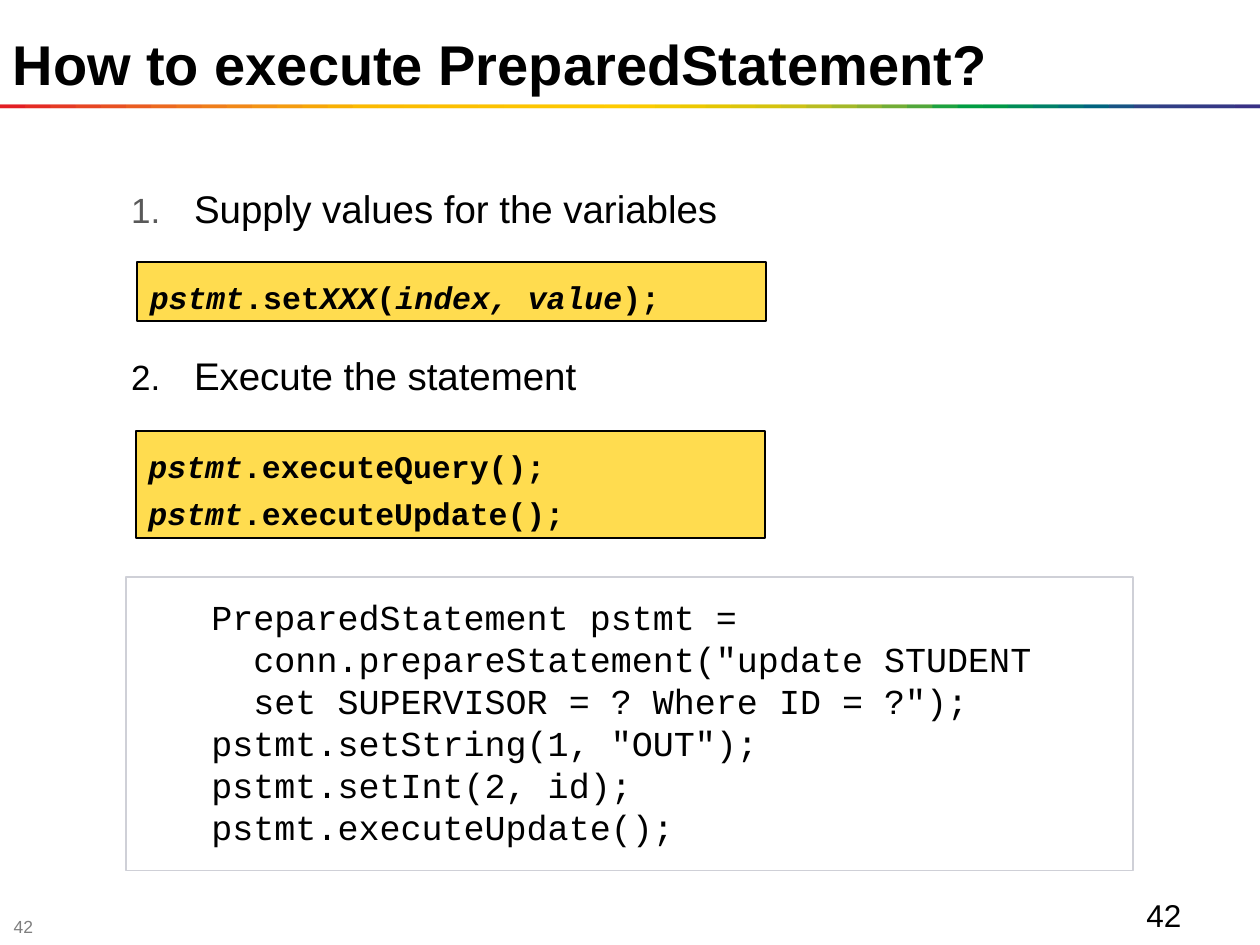
from lxml import etree
from pptx import Presentation
from pptx.dml.color import RGBColor
from pptx.enum.shapes import MSO_SHAPE
from pptx.enum.text import MSO_ANCHOR, MSO_AUTO_SIZE, PP_ALIGN
from pptx.oxml.ns import qn
from pptx.util import Inches, Pt

RECTANGLE = MSO_SHAPE.RECTANGLE
TOP, MIDDLE = MSO_ANCHOR.TOP, MSO_ANCHOR.MIDDLE
NO_FIT = MSO_AUTO_SIZE.NONE
LEFT = PP_ALIGN.LEFT

SANS, MONO = "Arial", "Courier New"
COLORS = {
    "text": "000000",
    "number": "595959",
    "footer": "7F7F7F",
    "syntax": "FFDC4F",
    "panel": "FFFFFF",
    "panel_line": "CFD0D7",
}
RAINBOW = """
    E31E24 E31E24 E42C24 E53A24 E74623 E85122 EA5D21 EC691F EE741D EF7E1A
    F18817 F39314 F49C0F F6A607 F8B002 FBBA00 FBBB00 FBBD00 FCBF00 FCC000
    FCC200 FDC400 FDC600 FDC700 FEC900 FECB00 FBCB00 F3CA00 ECC800 E4C602
    DCC50A D5C30E CCC117 B8BC21 A3B829 8CB230 71AD36 51A73B 1DA240 009D43
    009846 008C57 008068 007275 00637F 185384 2E4285 313E85 333B85 353885
    393185
""".split()

NUMBER_TAB = 1.25
STEPS = [
    ("1. \t", "Supply values for the variables", COLORS["number"], 0),
    ("2. \t", "Execute the statement", COLORS["text"], 68.7),
]
# In each syntax line, italic and upright pieces alternate
SET_SYNTAX = [["pstmt", ".set", "XXX", "(", "index, value", ");"]]
EXECUTE_SYNTAX = [
    ["pstmt", ".executeQuery();"],
    ["pstmt", ".executeUpdate();"],
]
EXAMPLE = [
    "PreparedStatement pstmt =",
    "  conn.prepareStatement(\"update STUDENT",
    "  set SUPERVISOR = ? Where ID = ?\");",
    "pstmt.setString(1, \"OUT\");",
    "pstmt.setInt(2, id);",
    "pstmt.executeUpdate();",
]


def place(shape, left, top, width, height):
    shape.left, shape.top = Inches(left), Inches(top)
    shape.width, shape.height = Inches(width), Inches(height)


def prepare_frame(shape, anchor=TOP, wrap=True):
    frame = shape.text_frame
    frame.word_wrap = wrap
    frame.auto_size = NO_FIT
    frame.vertical_anchor = anchor
    return frame


def add_paragraph(frame, first, before=0, spacing=1.0):
    para = frame.paragraphs[0] if first else frame.add_paragraph()
    para.alignment = LEFT
    para.space_before = Pt(before)
    para.line_spacing = spacing
    return para


def add_span(para, text, size=18, font=SANS, color=COLORS["text"],
             bold=False, italic=False):
    span = para.add_run()
    span.text = text
    span.font.size = Pt(size)
    span.font.name = font
    span.font.bold = bold
    span.font.italic = italic
    span.font.color.rgb = RGBColor.from_string(color)


def add_rectangle(page, bounds, fill, line=None):
    box = page.shapes.add_shape(RECTANGLE, *(Inches(value) for value in bounds))
    box.shadow.inherit = False
    box.fill.solid()
    box.fill.fore_color.rgb = RGBColor.from_string(fill)
    if line:
        box.line.color.rgb = RGBColor.from_string(line)
        box.line.width = Pt(1)
    else:
        box.line.fill.background()
    return box


def add_text_lines(page, bounds, lines, anchor=TOP, wrap=True, **style):
    box = page.shapes.add_textbox(*(Inches(value) for value in bounds))
    frame = prepare_frame(box, anchor, wrap)
    for index, line in enumerate(lines):
        add_span(add_paragraph(frame, index == 0), line, **style)


def add_rainbow_rule(page):
    step, last = 0.2, len(RAINBOW) - 1
    for index, color in enumerate(RAINBOW):
        left = max(index - 1, 0) * step
        right = min(index + 1, last) * step
        add_rectangle(page, (left, 0.83, right - left, 0.03), color)


def fill_title(title, text):
    place(title, 0, 0, 10, 1)
    frame = prepare_frame(title, MIDDLE)
    add_span(add_paragraph(frame, True), text, size=32, bold=True)


def number_with_tab(para):
    """Replace the template's bullet by a typed number and a tab stop."""
    properties = para._p.get_or_add_pPr()
    properties.set("marL", "0")
    properties.set("indent", "0")
    etree.SubElement(properties, qn("a:buNone"))
    tabs = etree.SubElement(properties, qn("a:tabLst"))
    etree.SubElement(tabs, qn("a:tab"), pos=str(Inches(NUMBER_TAB)), algn="l")


def fill_steps(body):
    place(body, 0.94, 1.42, 8.08, 1.79)
    frame = prepare_frame(body)
    for index, (number, text, color, before) in enumerate(STEPS):
        para = add_paragraph(frame, index == 0, before=before)
        number_with_tab(para)
        add_span(para, number, size=20, color=color)
        add_span(para, text, size=22)


def add_syntax_box(page, bounds, lines):
    box = add_rectangle(page, bounds, COLORS["syntax"], COLORS["text"])
    frame = prepare_frame(box)
    for index, pieces in enumerate(lines):
        para = add_paragraph(frame, index == 0, spacing=1.25)
        for position, piece in enumerate(pieces):
            add_span(para, piece, font=MONO, bold=True,
                     italic=position % 2 == 0)


def main():
    deck = Presentation()
    deck.slide_width, deck.slide_height = Inches(10), Inches(7.5)
    page = deck.slides.add_slide(deck.slide_layouts[1])

    # Heading and rule
    fill_title(page.shapes.title, "How to execute PreparedStatement?")
    add_rainbow_rule(page)

    # Numbered steps with their syntax
    fill_steps(page.placeholders[1])
    add_syntax_box(page, (1.09, 2.08, 4.99, 0.47), SET_SYNTAX)
    add_syntax_box(page, (1.08, 3.42, 4.99, 0.85), EXECUTE_SYNTAX)

    # Example code
    add_rectangle(page, (1, 4.58, 7.99, 2.33), COLORS["panel"],
                  COLORS["panel_line"])
    add_text_lines(page, (1.58, 4.68, 6.77, 2.1), EXAMPLE, size=20, font=MONO)

    # Page numbers
    add_text_lines(page, (0.01, 7.27, 0.39, 0.16), ["42"], anchor=MIDDLE,
                   wrap=False, size=10, color=COLORS["footer"])
    add_text_lines(page, (9, 7.06, 0.96, 0.35), ["42"])

    deck.save("out.pptx")


if __name__ == "__main__":
    main()
